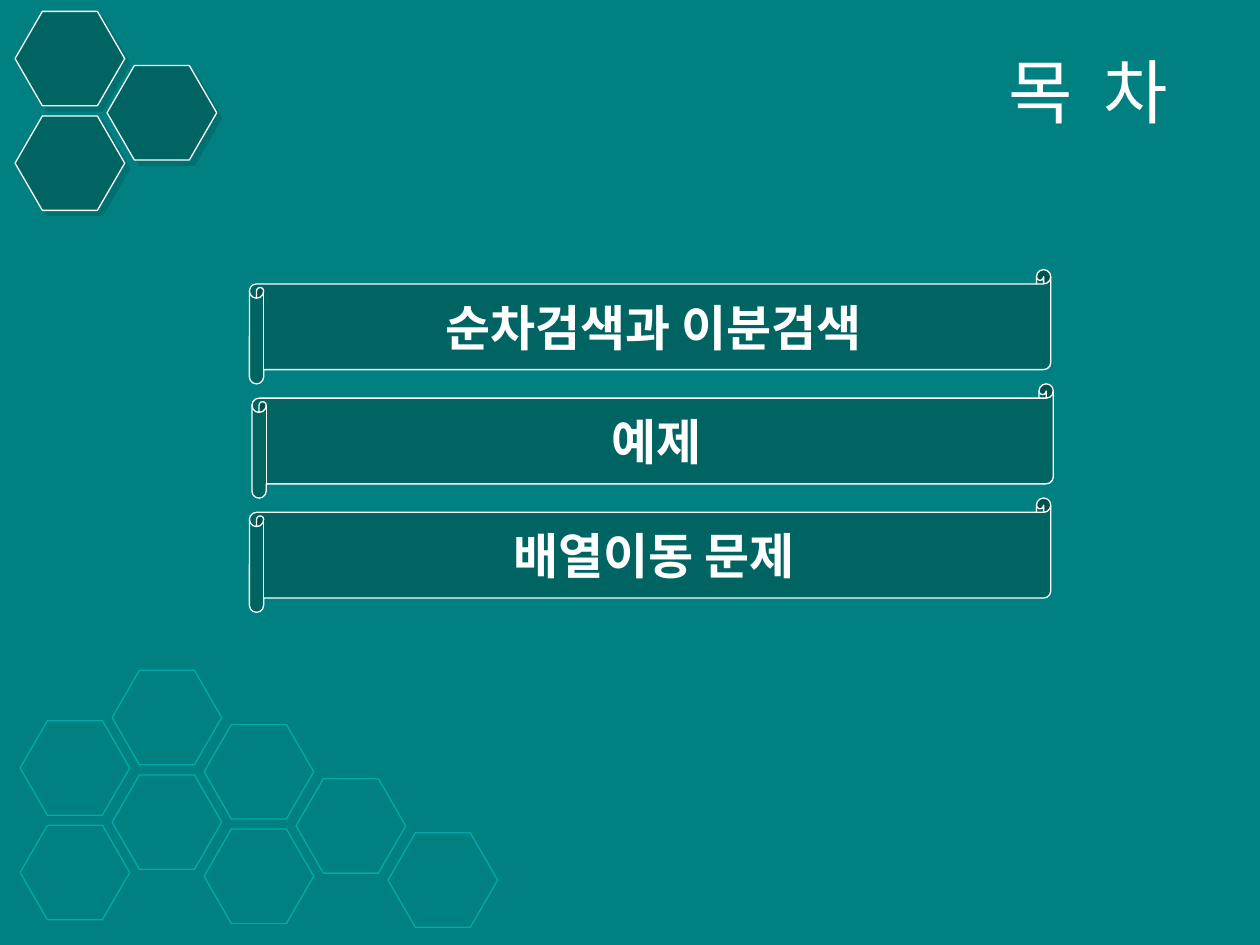
from collections import namedtuple
from dataclasses import dataclass

from lxml import etree
from pptx import Presentation
from pptx import util as u
from pptx.dml.color import RGBColor
from pptx.enum import shapes, text
from pptx.oxml.ns import qn

Box = namedtuple("Box", "left top width height")


@dataclass(frozen=True)
class Theme:
    background: str = "008080"
    panel: str = "006462"
    outline: str = "00ACA8"
    light: str = "FFFFFF"
    latin_font: str = "Arial"
    korean_font: str = "Noto Sans CJK KR"
    title_size: int = 40
    item_size: int = 28
    line_width: float = 0.75


THEME = Theme()
SLIDE = Box(0, 0, 10, 7.5)

# Honeycomb grid: each column steps right and half a cell down
CELL_WIDTH, CELL_HEIGHT = 0.87, 0.75
COLUMN_STEP, COLUMN_DROP, ROW_STEP = 0.73, 0.43, 0.83


def emu(box):
    return [u.Inches(length) for length in box]


def add_panel(slide, kind, box, fill, line):
    shape = slide.shapes.add_shape(kind, *emu(box))
    shape.shadow.inherit = False
    if fill:
        shape.fill.solid()
        shape.fill.fore_color.rgb = RGBColor.from_string(fill)
    else:
        shape.fill.background()
    shape.line.color.rgb = RGBColor.from_string(line)
    shape.line.width = u.Pt(THEME.line_width)
    return shape


def add_shadow(shape):
    effects = shape._element.spPr.find(qn("a:effectLst"))
    shadow = etree.SubElement(effects, qn("a:outerShdw"), blurRad="0",
                              dist=str(u.Pt(4.2)), dir=str(45 * 60000),
                              algn="ctr", rotWithShape="0")
    color = etree.SubElement(shadow, qn("a:srgbClr"), val=THEME.panel)
    etree.SubElement(color, qn("a:alpha"), val="50000")


def write(shape, words, align, font_name, size, bold=False):
    frame = shape.text_frame
    frame.word_wrap = True
    frame.vertical_anchor = text.MSO_ANCHOR.MIDDLE
    paragraph = frame.paragraphs[0]
    paragraph.text = words
    paragraph.alignment = align
    font = paragraph.font
    font.name, font.size, font.bold = font_name, u.Pt(size), bold
    font.color.rgb = RGBColor.from_string(THEME.light)
    properties = paragraph._p.pPr.find(qn("a:defRPr"))
    etree.SubElement(properties, qn("a:ea"), typeface=THEME.korean_font)


def add_honeycomb(slide, box, cells, fill, line, shadow=False):
    """Place hexagons at (column, row) cells, counted from the box corner."""
    for column, row in cells:
        cell = Box(box.left + column * COLUMN_STEP,
                   box.top + column * COLUMN_DROP + row * ROW_STEP,
                   CELL_WIDTH, CELL_HEIGHT)
        hexagon = add_panel(slide, shapes.MSO_SHAPE.HEXAGON, cell, fill, line)
        hexagon.adjustments[0] = 0.289
        if shadow:
            add_shadow(hexagon)


def add_title(slide, box, words):
    title = slide.shapes.add_textbox(*emu(box))
    write(title, words, text.PP_ALIGN.RIGHT, THEME.latin_font, THEME.title_size)


def add_contents(slide, box, items):
    """Stack one scroll per item; every second one sits slightly to the right."""
    row_height = box.height / len(items)
    for row, words in enumerate(items):
        place = Box(box.left + row % 2 * 0.02, box.top + row * row_height,
                    box.width, row_height)
        scroll = add_panel(slide, shapes.MSO_SHAPE.HORIZONTAL_SCROLL, place,
                           THEME.panel, THEME.light)
        write(scroll, words, text.PP_ALIGN.CENTER, THEME.korean_font,
              THEME.item_size, bold=True)


def main():
    presentation = Presentation()
    presentation.slide_width = u.Inches(SLIDE.width)
    presentation.slide_height = u.Inches(SLIDE.height)
    slide = presentation.slides.add_slide(presentation.slide_layouts[6])
    slide.background.fill.solid()
    slide.background.fill.fore_color.rgb = RGBColor.from_string(THEME.background)

    # Outlined honeycomb, bottom left
    add_honeycomb(slide, Box(0.16, 5.72, 3.78, 1.65),
                  [(2, 0), (2, -1), (3, -1), (4, -1),
                   (1, 0), (1, -1), (0, 0), (0, 1)],
                  None, THEME.outline)
    # Filled honeycomb, top left
    add_honeycomb(slide, Box(0.12, 0.09, 1.6, 1.58), [(0, 1), (0, 0), (1, 0)],
                  THEME.panel, THEME.light, shadow=True)
    # Heading and list of contents
    add_title(slide, Box(1.85, 0.28, 7.52, 0.87), "목  차")
    add_contents(slide, Box(1.98, 2.14, 6.36, 2.72),
                 ["순차검색과 이분검색", "예제", "배열이동 문제"])

    presentation.save("out.pptx")


if __name__ == "__main__":
    main()
